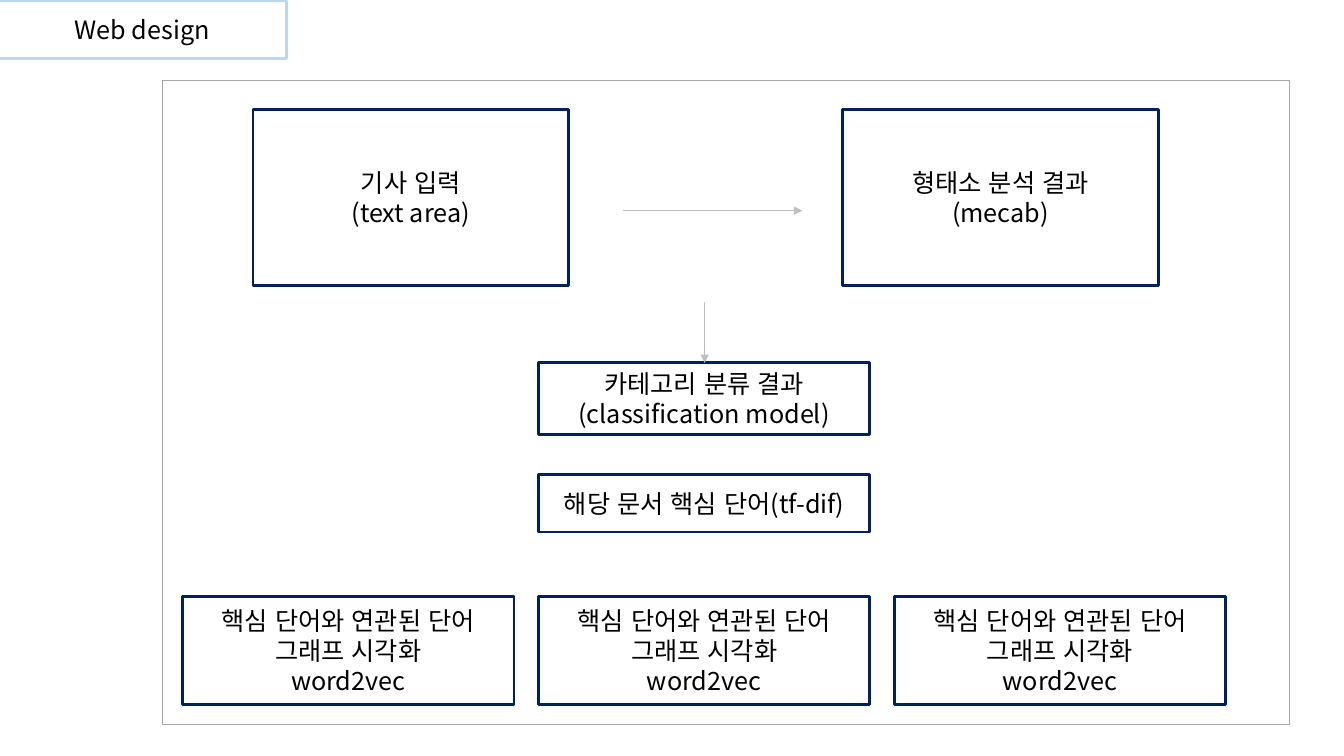
from typing import NamedTuple

from lxml.etree import SubElement
from pptx import Presentation
from pptx.dml.color import RGBColor
from pptx.enum.lang import MSO_LANGUAGE_ID as Language
from pptx.enum.shapes import MSO_CONNECTOR as Connector, MSO_SHAPE as Shape
from pptx.enum.text import MSO_ANCHOR as Anchor, PP_ALIGN as Align
from pptx.oxml.ns import qn
from pptx.util import Pt

FONT = "Noto Sans CJK KR"
BLACK, NAVY, SKY = "000000", "002060", "BDD7EE"
FRAME_GRAY, ARROW_GRAY = "A6A6A6", "BFBFBF"


class Panel(NamedTuple):
    left: float
    top: float
    width: float
    height: float
    lines: tuple[str, ...] = ()
    color: str = NAVY
    weight: float = 2


class Arrow(NamedTuple):
    start_x: float
    start_y: float
    end_x: float
    end_y: float


def rgb(value: str) -> RGBColor:
    return RGBColor.from_string(value)


def add_text(para, text: str, *, size: float = 18, color: str = BLACK, font: str = FONT) -> None:
    para.alignment = Align.CENTER
    span = para.add_run()
    span.text = text
    span.font.size = Pt(size)
    span.font.name = font
    span.font.language_id = Language.KOREAN
    span.font.color.rgb = rgb(color)
    SubElement(span.font._element, qn("a:ea"), typeface=font)


def draw_panel(page, panel: Panel) -> None:
    box = page.shapes.add_shape(
        Shape.RECTANGLE, Pt(panel.left), Pt(panel.top), Pt(panel.width), Pt(panel.height)
    )
    box.shadow.inherit = False
    box.fill.background()
    box.line.color.rgb = rgb(panel.color)
    box.line.width = Pt(panel.weight)
    frame = box.text_frame
    frame.word_wrap = True
    frame.vertical_anchor = Anchor.MIDDLE
    for index, text in enumerate(panel.lines):
        para = frame.add_paragraph() if index else frame.paragraphs[0]
        add_text(para, text)


def draw_arrow(page, arrow: Arrow) -> None:
    line = page.shapes.add_connector(Connector.STRAIGHT, *(Pt(value) for value in arrow))
    line.line.color.rgb = rgb(ARROW_GRAY)
    line.line.width = Pt(0.5)
    SubElement(line.line._get_or_add_ln(), qn("a:tailEnd"), type="triangle")
    SubElement(line._element.spPr, qn("a:effectLst"))


CENTER_LEFT, STEP_WIDTH = 384.5, 236.9
GRAPH_PITCH = 254.2
INPUT_TOP, INPUT_WIDTH, INPUT_HEIGHT = 78.5, 225.4, 125.3
CATEGORY_TOP = 259.2
ARROW_Y, ARROW_X = 150.5, 503.3

PANELS = [
    Panel(115.9, 57.6, 805, 460.1, color=FRAME_GRAY, weight=1),
    Panel(-1.4, 0.7, 205.9, 41, ("Web design",), color=SKY),
    Panel(180.7, INPUT_TOP, INPUT_WIDTH, INPUT_HEIGHT, ("기사 입력", "(text area)")),
    Panel(601.9, INPUT_TOP, INPUT_WIDTH, INPUT_HEIGHT, ("형태소 분석 결과", "(mecab)")),
    Panel(CENTER_LEFT, CATEGORY_TOP, STEP_WIDTH, 51.1,
          ("카테고리 분류 결과", "(classification model)")),
    Panel(CENTER_LEFT, 339.1, STEP_WIDTH, 41, ("해당 문서 핵심 단어(tf-dif)",)),
    *(
        Panel(CENTER_LEFT + offset * GRAPH_PITCH, 426.2, STEP_WIDTH, 77,
              ("핵심 단어와 연관된 단어 그래프 시각화", "word2vec"))
        for offset in (-1, 0, 1)
    ),
]
ARROWS = [
    Arrow(445, ARROW_Y, 573.1, ARROW_Y),
    Arrow(ARROW_X, 216, ARROW_X, CATEGORY_TOP),
]

deck = Presentation()
deck.slide_width, deck.slide_height = Pt(960), Pt(540)
page = deck.slides.add_slide(deck.slide_layouts[6])
for panel in PANELS:
    draw_panel(page, panel)
for arrow in ARROWS:
    draw_arrow(page, arrow)
deck.save("out.pptx")
